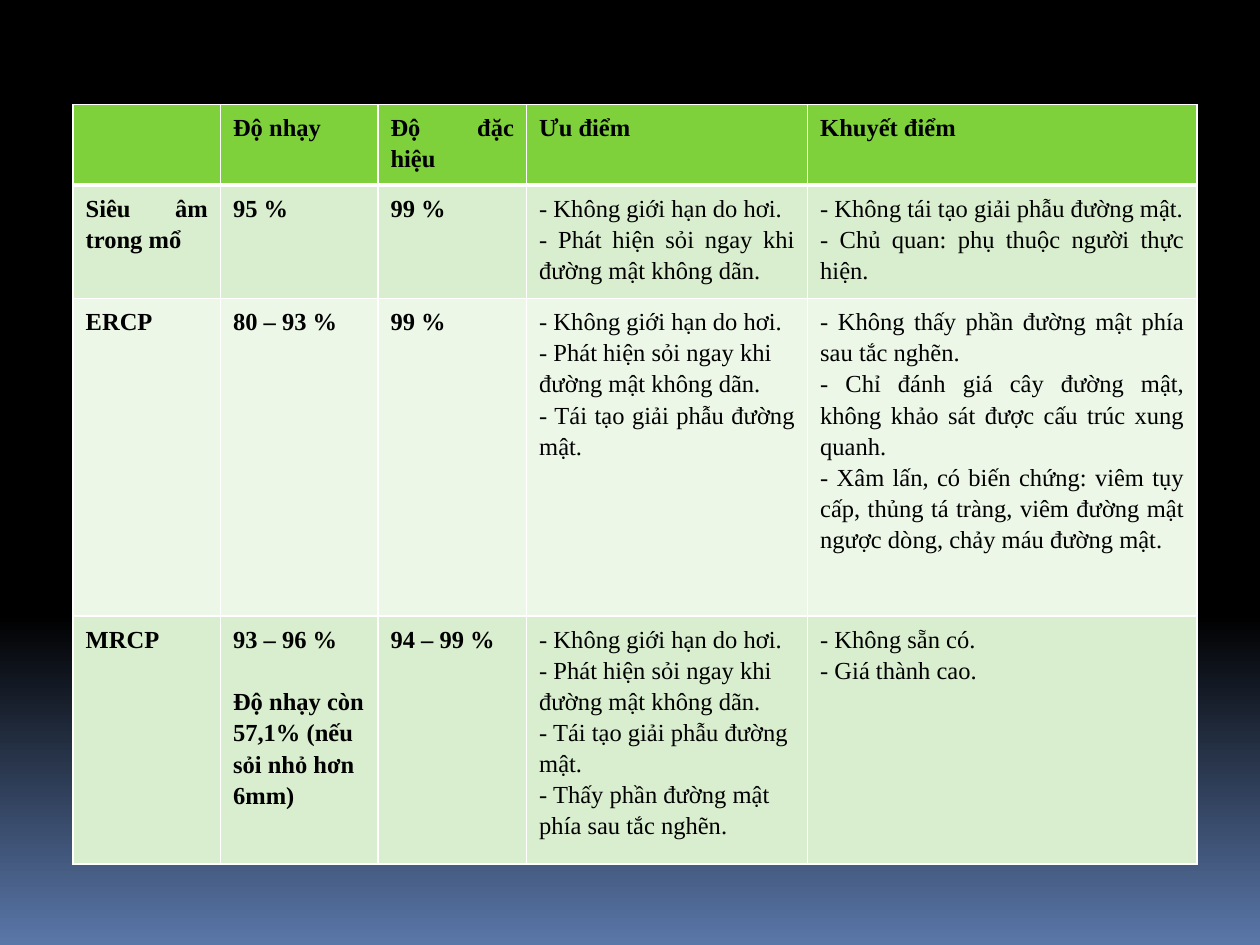
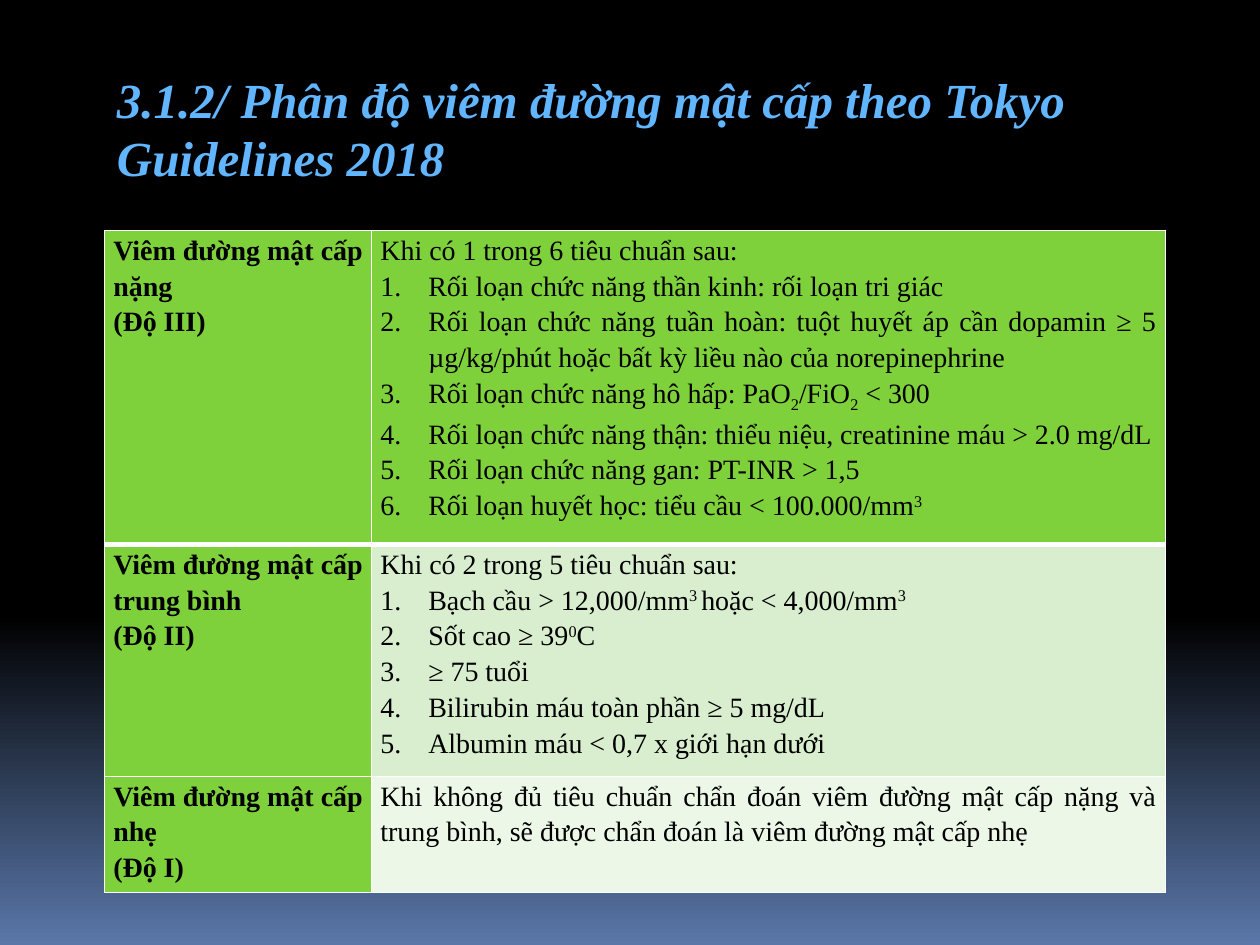
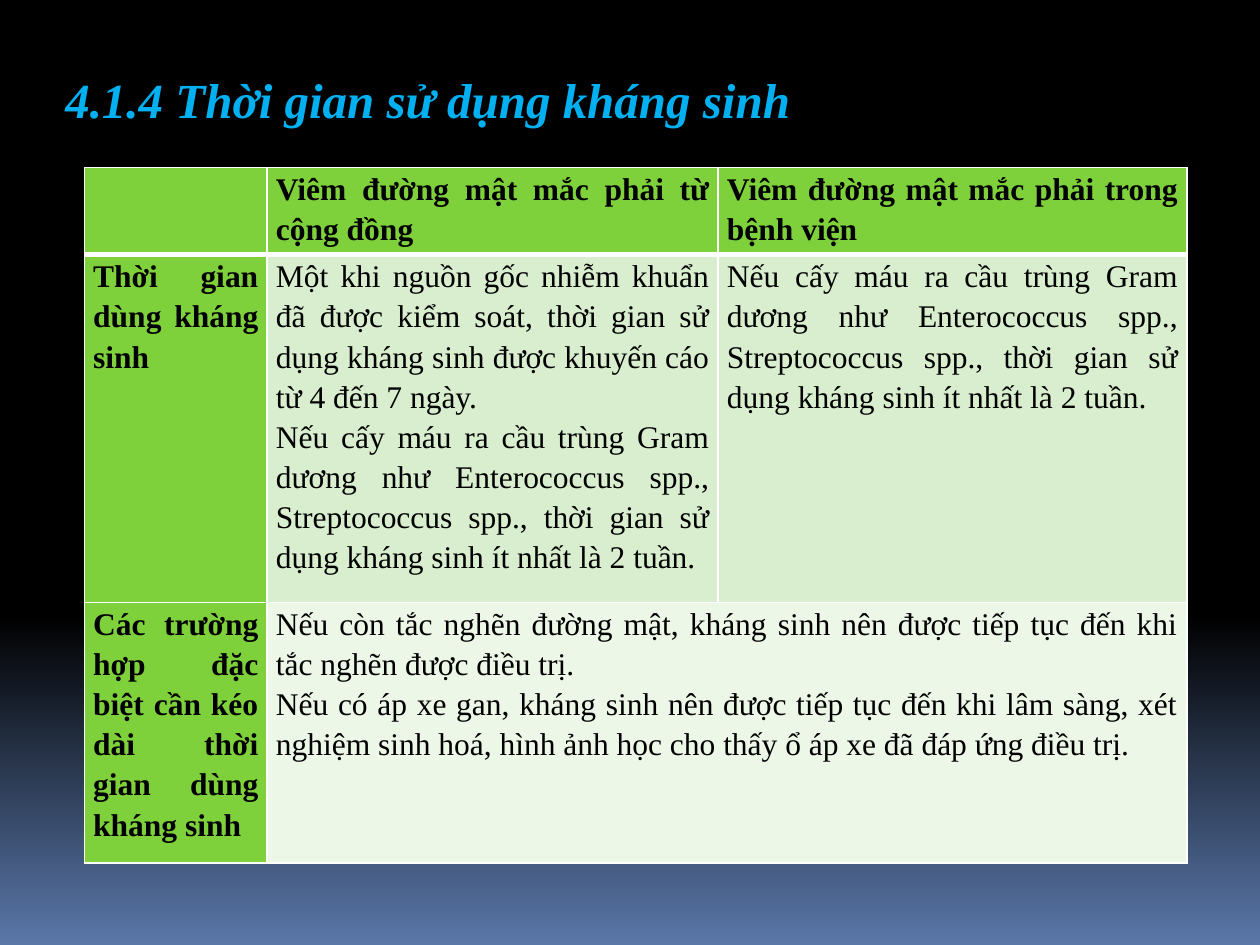
import collections

import lxml.etree
import pptx
import pptx.dml.color
import pptx.enum.text
import pptx.oxml.ns
import pptx.util

Inches = pptx.util.Inches
Pt = pptx.util.Pt
ALIGN = pptx.enum.text.PP_ALIGN

Para = collections.namedtuple(
    "Para", "content align numbered before", defaults=(ALIGN.JUSTIFY, False, 0))

SUB, SUP = -25, 30
ANY_HOUR = "- Không giới hạn do hơi."
FINDS_STONES = "- Phát hiện sỏi ngay khi đường mật không dãn."
REBUILDS = "- Tái tạo giải phẫu đường mật."
GRAM_POSITIVE = ("Nếu cấy máu ra cầu trùng Gram dương như Enterococcus spp., "
                 "Streptococcus spp., thời gian sử dụng kháng sinh ít nhất là 2 tuần.")


def color(value):
    return pptx.dml.color.RGBColor.from_string(value)


def left(text, before=0):
    return Para(text, ALIGN.LEFT, before=before)


def numbered(*runs):
    return Para(runs, numbered=True)


class Deck:
    """Builds dark gradient slides with titles and green tables."""

    FONT = "Times New Roman"
    INK = "000000"
    GLOW = "5A77A9"
    RULE = "FFFFFF"
    HEAD = "7FD13B"
    BANDS = ("D8EECE", "ECF7E8")
    LIST_INDENT = Inches(0.38)

    def __init__(self):
        self.prs = pptx.Presentation()
        self.prs.slide_width = Inches(10)
        self.prs.slide_height = Inches(7.5)
        self.slide = None

    def add_slide(self):
        self.slide = self.prs.slides.add_slide(self.prs.slide_layouts[6])
        backdrop = self.slide.background.fill
        backdrop.gradient()
        backdrop.gradient_angle = 270
        for stop, position, shade in zip(
                backdrop.gradient_stops, (0.65, 1), (self.INK, self.GLOW)):
            stop.position = position
            stop.color.rgb = color(shade)

    def run(self, paragraph, text, size, shade, bold, italic=False, baseline=0):
        run = paragraph.add_run()
        run.text = text
        font = run.font
        font.name, font.size = self.FONT, Pt(size)
        font.bold, font.italic = bold, italic
        font.color.rgb = color(shade)
        if baseline:
            run._r.get_or_add_rPr().set("baseline", str(baseline * 1000))

    def title(self, text, x, width, height, shade):
        box = self.slide.shapes.add_textbox(
            Inches(x), Inches(0.5), Inches(width), Inches(height))
        frame = box.text_frame
        frame.word_wrap = True
        frame.auto_size = pptx.enum.text.MSO_AUTO_SIZE.SHAPE_TO_FIT_TEXT
        self.run(frame.paragraphs[0], text, 28, shade, True, True)

    def number(self, paragraph):
        props = paragraph._p.get_or_add_pPr()
        props.set("marL", str(self.LIST_INDENT))
        props.set("indent", str(-self.LIST_INDENT))
        lxml.etree.SubElement(
            props, pptx.oxml.ns.qn("a:buAutoNum"), type="arabicPeriod")

    def fill_text(self, cell, paras, size, bold):
        for index, para in enumerate(paras):
            if isinstance(para, str):
                para = Para(para)
            frame = cell.text_frame
            paragraph = frame.add_paragraph() if index else frame.paragraphs[0]
            paragraph.alignment = para.align
            paragraph.line_spacing = 1.15
            if para.before:
                paragraph.space_before = Pt(para.before)
            if para.numbered:
                self.number(paragraph)
            runs = (para.content,) if isinstance(para.content, str) else para.content
            for part in runs:
                text, baseline = (part, 0) if isinstance(part, str) else part
                self.run(paragraph, text, size, self.INK, bold, baseline=baseline)

    def borders(self, cell, row):
        qn = pptx.oxml.ns.qn
        props = cell._tc.get_or_add_tcPr()
        widths = {"L": 1, "R": 1, "T": 3 if row == 1 else 1, "B": 3 if row == 0 else 1}
        for side, width in widths.items():
            line = lxml.etree.SubElement(props, qn("a:ln" + side), w=str(Pt(width)))
            solid = lxml.etree.SubElement(line, qn("a:solidFill"))
            lxml.etree.SubElement(solid, qn("a:srgbClr"), val=self.RULE)

    def table(self, x, y, columns, heights, rows, size, bold_columns=1,
              bold_top=True, green_labels=True, margins=None):
        frame = self.slide.shapes.add_table(
            len(rows), len(columns), Inches(x), Inches(y),
            Inches(sum(columns)), Inches(sum(heights)))
        table = frame.table
        table.first_row = table.horz_banding = False
        for column, width in zip(table.columns, columns):
            column.width = Inches(width)
        for r, (height, row) in enumerate(zip(heights, rows)):
            table.rows[r].height = Inches(height)
            for c, paras in enumerate(row):
                cell = table.cell(r, c)
                if margins:
                    cell.margin_left = cell.margin_right = Inches(margins[0])
                    cell.margin_top = cell.margin_bottom = Inches(margins[1])
                self.borders(cell, r)
                green = r == 0 or (green_labels and c == 0)
                cell.fill.solid()
                cell.fill.fore_color.rgb = color(
                    self.HEAD if green else self.BANDS[(r - 1) % 2])
                bold = c < bold_columns or (bold_top and r == 0)
                self.fill_text(cell, paras, size, bold)
        return table


def compare_imaging(deck):
    deck.add_slide()
    rows = [
        [[], ["Độ nhạy"], ["Độ đặc hiệu"], ["Ưu điểm"], ["Khuyết điểm"]],
        [["Siêu âm trong mổ"], ["95 %"], ["99 %"],
         [left(ANY_HOUR), FINDS_STONES],
         ["- Không tái tạo giải phẫu đường mật.",
          "- Chủ quan: phụ thuộc người thực hiện."]],
        [["ERCP"], ["80 – 93 %"], ["99 %"],
         [ANY_HOUR, left(FINDS_STONES), REBUILDS],
         ["- Không thấy phần đường mật phía sau tắc nghẽn.",
          "- Chỉ đánh giá cây đường mật, không khảo sát được cấu trúc xung quanh.",
          "- Xâm lấn, có biến chứng: viêm tụy cấp, thủng tá tràng, "
          "viêm đường mật ngược dòng, chảy máu đường mật."]],
        [["MRCP"],
         ["93 – 96 %", left("Độ nhạy còn 57,1% (nếu sỏi nhỏ hơn 6mm)", 18)],
         ["94 – 99 %"],
         [ANY_HOUR, left(FINDS_STONES), left(REBUILDS),
          left("- Thấy phần đường mật phía sau tắc nghẽn.")],
         ["- Không sẵn có.", "- Giá thành cao."]],
    ]
    deck.table(0.58, 0.83, [1.17, 1.25, 1.18, 2.23, 3.09], [0.64, 0.9, 2.52, 1.97],
               rows, 14, bold_columns=3, green_labels=False)


def grade_severity(deck):
    deck.add_slide()
    deck.title("3.1.2/ Phân độ viêm đường mật cấp theo Tokyo Guidelines 2018",
               0.83, 7.83, 1.04, "61B6FF")
    severe = [
        "Khi có 1 trong 6 tiêu chuẩn sau:",
        numbered("Rối loạn chức năng thần kinh: rối loạn tri giác"),
        numbered("Rối loạn chức năng tuần hoàn: tuột huyết áp cần dopamin ≥ 5 "
                 "µg/kg/phút hoặc bất kỳ liều nào của norepinephrine"),
        numbered("Rối loạn chức năng hô hấp: PaO", ("2", SUB), "/FiO", ("2", SUB),
                 " < 300"),
        numbered("Rối loạn chức năng thận: thiểu niệu, creatinine máu > 2.0 mg/dL"),
        numbered("Rối loạn chức năng gan: PT-INR > 1,5"),
        numbered("Rối loạn huyết học: tiểu cầu < 100.000/mm", ("3", SUP)),
    ]
    moderate = [
        "Khi có 2 trong 5 tiêu chuẩn sau:",
        numbered("Bạch cầu > 12,000/mm", ("3 ", SUP), "hoặc < 4,000/mm", ("3", SUP)),
        numbered("Sốt cao ≥ 39", ("0", SUP), "C"),
        numbered("≥ 75 tuổi"),
        numbered("Bilirubin máu toàn phần ≥ 5 mg/dL"),
        numbered("Albumin máu < 0,7 x giới hạn dưới"),
    ]
    mild = ["Khi không đủ tiêu chuẩn chẩn đoán viêm đường mật cấp nặng và trung bình, "
            "sẽ được chẩn đoán là viêm đường mật cấp nhẹ"]
    grades = [("nặng", "III", severe), ("trung bình", "II", moderate), ("nhẹ", "I", mild)]
    rows = [[[f"Viêm đường mật cấp {name}", f"(Độ {grade})"], criteria]
            for name, grade, criteria in grades]
    deck.table(0.83, 1.83, [2.12, 6.3], [2.49, 1.84, 0.91], rows, 16,
               bold_top=False, margins=(0.07, 0))


def plan_antibiotics(deck):
    deck.add_slide()
    deck.title("4.1.4 Thời gian sử dụng kháng sinh", 0.42, 7.75, 0.57, "00B0F0")
    rows = [
        [[], ["Viêm đường mật mắc phải từ cộng đồng"],
         ["Viêm đường mật mắc phải trong bệnh viện"]],
        [["Thời gian dùng kháng sinh"],
         ["Một khi nguồn gốc nhiễm khuẩn đã được kiểm soát, thời gian sử dụng "
          "kháng sinh được khuyến cáo từ 4 đến 7 ngày.", GRAM_POSITIVE],
         [GRAM_POSITIVE]],
        [["Các trường hợp đặc biệt cần kéo dài thời gian dùng kháng sinh"],
         ["Nếu còn tắc nghẽn đường mật, kháng sinh nên được tiếp tục đến khi "
          "tắc nghẽn được điều trị.",
          "Nếu có áp xe gan, kháng sinh nên được tiếp tục đến khi lâm sàng, "
          "xét nghiệm sinh hoá, hình ảnh học cho thấy ổ áp xe đã đáp ứng điều trị."],
         []],
    ]
    schedule = deck.table(0.67, 1.33, [1.45, 3.58, 3.72], [0.69, 2.76, 2.07], rows, 18,
                          margins=(0.07, 0))
    schedule.cell(2, 1).merge(schedule.cell(2, 2))


def main():
    deck = Deck()
    compare_imaging(deck)
    grade_severity(deck)
    plan_antibiotics(deck)
    deck.prs.save("out.pptx")


if __name__ == "__main__":
    main()
